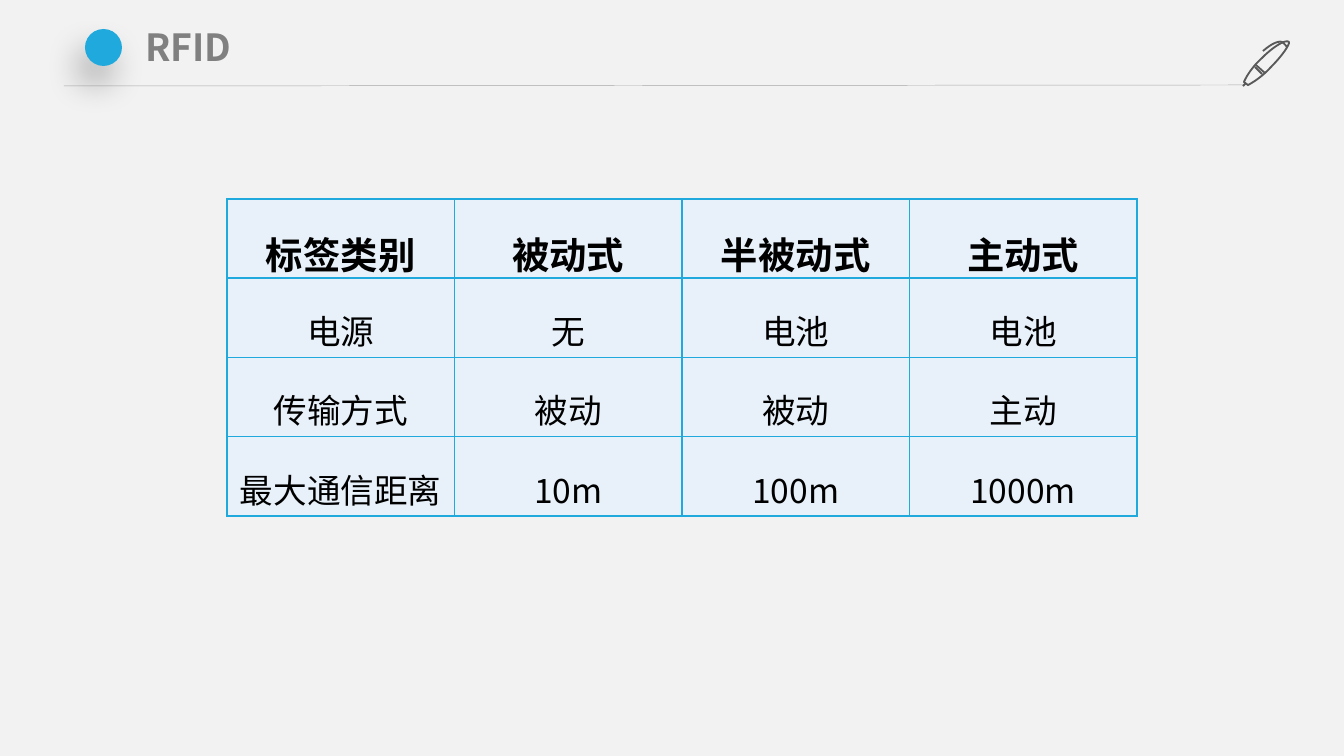
from dataclasses import dataclass

from lxml import etree
from pptx import Presentation
from pptx.dml.color import RGBColor
from pptx.enum.shapes import MSO_CONNECTOR, MSO_SHAPE
from pptx.enum.text import MSO_ANCHOR, PP_ALIGN
from pptx.oxml import parse_xml
from pptx.oxml.ns import qn
from pptx.util import Pt

STRAIGHT = MSO_CONNECTOR.STRAIGHT
OVAL = MSO_SHAPE.OVAL
MIDDLE = MSO_ANCHOR.MIDDLE
CENTER = PP_ALIGN.CENTER
DRAWING_NS = "http://schemas.openxmlformats.org/drawingml/2006/main"
EMU_PER_PX = 914400 / 134.4
CURVE_STEPS = 12
BLANK_LAYOUT = 6


@dataclass(frozen=True)
class Theme:
    """Colours and type sizes of the slide."""
    font: str = "Noto Sans CJK SC"
    background: str = "F2F2F2"
    accent: str = "20A9DD"
    rule: str = "A6A6A6"
    pen: str = "595959"
    title: str = "808080"
    text: str = "000000"
    cell: str = "E8F1F9"
    heading_size: int = 20
    body_size: int = 18


THEME = Theme()
TABLE_ROWS = [
    ["标签类别", "被动式", "半被动式", "主动式"],
    ["电源", "无", "电池", "电池"],
    ["传输方式", "被动", "被动", "主动"],
    ["最大通信距离", "10m", "100m", "1000m"],
]
PEN_STROKES = [
    [(19, 35), [(12, 28)]],
    [(13, 26), [(22, 34)]],
    [(46, 3), [(43, 0), (31, 7), (19, 19)], [(9, 28), (3, 38), (1, 43)], [(5, 46)],
     [(9, 44), (19, 38), (28, 28)], [(40, 16), (47, 5), (46, 3)]],
    [(3, 44), [(0, 47)]],
    [(44, 8), [(44, 8), (42, 5), (39, 3)], [(39, 3), (34, 0), (20, 12)]],
]


def px(length):
    """Turn pixels into EMU."""
    return round(length * EMU_PER_PX)


def color(value):
    """Turn a hex string into a colour."""
    return RGBColor.from_string(value)


def format_text(paragraph, size, value, bold):
    """Set the font of every run in a paragraph."""
    for run in paragraph.runs:
        font = run.font
        font.name, font.size, font.bold = THEME.font, Pt(size), bold
        font.color.rgb = color(value)
        east_asian = etree.SubElement(run._r.get_or_add_rPr(), qn("a:ea"))
        east_asian.set("typeface", THEME.font)


def add_rule(slide, start, end):
    """Draw the thin line under the title."""
    rule = slide.shapes.add_connector(STRAIGHT, *map(px, start + end))
    rule.line.color.rgb = color(THEME.rule)
    rule.line.width = Pt(0.25)
    etree.SubElement(rule._element.spPr, qn("a:effectLst"))


def curve_points(start, controls):
    """Sample a cubic curve, or return the end of a straight segment."""
    if len(controls) == 1:
        return controls
    points = [start, *controls]
    samples = []
    for step in range(1, CURVE_STEPS + 1):
        t = step / CURVE_STEPS
        weights = ((1 - t) ** 3, 3 * t * (1 - t) ** 2, 3 * t ** 2 * (1 - t), t ** 3)
        samples.append(tuple(sum(w * p[axis] for w, p in zip(weights, points))
                             for axis in (0, 1)))
    return samples


def add_pen(slide, left, top):
    """Draw the outlined pen at the end of the rule."""
    builder = None
    for start, *segments in PEN_STROKES:
        if builder is None:
            builder = slide.shapes.build_freeform(*map(px, start))
        else:
            builder.move_to(*map(px, start))
        for controls in segments:
            points = curve_points(start, controls)
            builder.add_line_segments([(px(x), px(y)) for x, y in points], close=False)
            start = controls[-1]
    pen = builder.convert_to_shape(px(left), px(top))
    pen.shadow.inherit = False
    pen.fill.background()
    pen.line.color.rgb = color(THEME.pen)
    pen.line.width = Pt(1)


def add_dot(slide, left, top, size):
    """Draw the round title marker with its soft shadow."""
    dot = slide.shapes.add_shape(OVAL, px(left), px(top), px(size), px(size))
    dot.fill.solid()
    dot.fill.fore_color.rgb = color(THEME.accent)
    dot.line.fill.background()
    dot.shadow.inherit = False
    dot._element.spPr.find(qn("a:effectLst")).append(parse_xml(
        f'<a:outerShdw xmlns:a="{DRAWING_NS}" blurRad="{Pt(18)}" dist="{Pt(11)}" '
        f'dir="{113 * 60000}" algn="ctr" rotWithShape="0">'
        '<a:srgbClr val="000000"><a:alpha val="27000"/></a:srgbClr></a:outerShdw>'))


def add_title(slide, left, top, width, height, text):
    """Place the title text."""
    box = slide.shapes.add_textbox(px(left), px(top), px(width), px(height))
    frame = box.text_frame
    frame.word_wrap = True
    frame.margin_top = frame.margin_bottom = px(5)
    frame.text = text
    format_text(frame.paragraphs[0], THEME.heading_size, THEME.title, True)


def add_header(slide, left, top, width, height):
    """Place the rule, pen, marker and title in the header box."""
    right, bottom = left + width, top + height
    add_rule(slide, (left, bottom), (right - 47, bottom - 1))
    add_pen(slide, right - 47, bottom - 47)
    add_dot(slide, left + 21, top + 10, 37)
    add_title(slide, left + 68, top, 1111, 58, "RFID")


def add_borders(cell):
    """Give a cell an accent line on all four sides."""
    properties = cell._tc.get_or_add_tcPr()
    for side in "LRTB":
        properties.append(parse_xml(
            f'<a:ln{side} xmlns:a="{DRAWING_NS}" w="{Pt(1)}"><a:solidFill>'
            f'<a:srgbClr val="{THEME.accent}"/></a:solidFill></a:ln{side}>'))


def add_tag_table(slide, left, top, width, height):
    """Place the comparison of tag types in an even grid."""
    row_count, column_count = len(TABLE_ROWS), len(TABLE_ROWS[0])
    table = slide.shapes.add_table(row_count, column_count, px(left), px(top),
                                   px(width), px(height)).table
    for row_index, texts in enumerate(TABLE_ROWS):
        table.rows[row_index].height = px(height / row_count)
        heading = row_index == 0
        size = THEME.heading_size if heading else THEME.body_size
        for column_index, text in enumerate(texts):
            cell = table.cell(row_index, column_index)
            cell.margin_left = cell.margin_right = px(10)
            cell.margin_top = cell.margin_bottom = 0
            cell.vertical_anchor = MIDDLE
            add_borders(cell)
            cell.fill.solid()
            cell.fill.fore_color.rgb = color(THEME.cell)
            cell.text_frame.text = text
            paragraph = cell.text_frame.paragraphs[0]
            paragraph.alignment = CENTER
            paragraph.line_spacing = 1.5
            format_text(paragraph, size, THEME.text, heading)


def main():
    """Build and save the presentation."""
    presentation = Presentation()
    presentation.slide_width, presentation.slide_height = px(1344), px(756)
    slide = presentation.slides.add_slide(presentation.slide_layouts[BLANK_LAYOUT])
    slide.background.fill.solid()
    slide.background.fill.fore_color.rgb = color(THEME.background)
    add_header(slide, 64, 19, 1226, 67)
    add_tag_table(slide, 227, 199, 910, 317)
    presentation.save("out.pptx")


if __name__ == "__main__":
    main()
